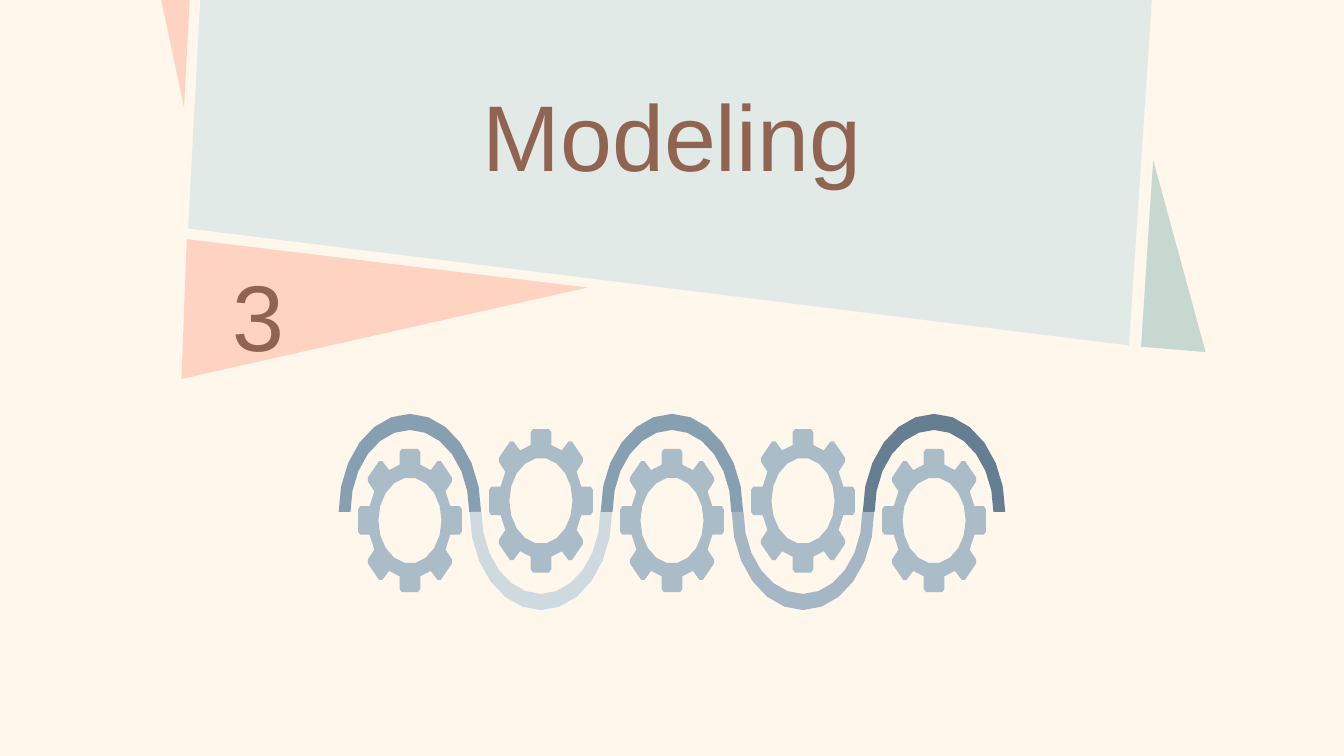
from dataclasses import dataclass
from math import cos, pi, sin

from pptx import Presentation
from pptx.dml.color import RGBColor
from pptx.enum.text import MSO_ANCHOR, PP_ALIGN
from pptx.util import Inches, Pt

CENTER = PP_ALIGN.CENTER
MIDDLE = MSO_ANCHOR.MIDDLE

CREAM = RGBColor(0xFF, 0xF6, 0xEC)
MIST = RGBColor(0xE1, 0xEA, 0xE7)
SAGE = RGBColor(0xC7, 0xD8, 0xD0)
PEACH = RGBColor(0xFE, 0xD3, 0xC2)
BROWN = RGBColor(0x91, 0x64, 0x52)
GEAR_BLUE = RGBColor(0xAB, 0xBC, 0xC9)
WAVE_BLUE = RGBColor(0x86, 0x9F, 0xB1)
WAVE_PALE = RGBColor(0xCF, 0xD9, 0xE0)
WAVE_SOFT = RGBColor(0xA5, 0xB7, 0xC5)
WAVE_DARK = RGBColor(0x66, 0x7E, 0x92)

# The slide is a grid of square cells, 100 columns wide
SLIDE_WIDTH, SLIDE_HEIGHT = Inches(10), Inches(5.625)
CELL = SLIDE_WIDTH / 100

Point = tuple[float, float]


@dataclass(frozen=True)
class Panel:
    corners: list[Point]
    color: RGBColor


@dataclass(frozen=True)
class Heading:
    text: str
    left: float
    top: float
    width: float
    height: float


PANELS = [
    Panel([(15.1, -3.6), (86, -4.4), (84, 25.7), (14, 17)], MIST),
    Panel([(13.7, 8), (11.3, -3.3), (14.3, -3.5)], PEACH),
    Panel([(85.8, 11.9), (89.7, 26.2), (84.9, 25.8)], SAGE),
    Panel([(13.5, 28.2), (13.9, 17.8), (43.7, 21.4)], PEACH),
]
HEADINGS = [
    Heading("Modeling", 15.1, 4.2, 69.8, 11.6),
    Heading("3", 13.2, 18.1, 12, 10.5),
]

# Wave of half rings: odd ones hang below the axis
WAVE_COLORS = [WAVE_BLUE, WAVE_PALE, WAVE_BLUE, WAVE_SOFT, WAVE_DARK]
WAVE_AXIS, WAVE_PITCH = 38.1, 9.75
WAVE_OUTER, WAVE_INNER = (5.3, 7.3), (4.42, 6.1)
GEAR_HOLE = (2.35, 3.2)
GEAR_ROW_UPPER, GEAR_ROW_LOWER = 37.27, 38.73

# Top right quarter of the gear rim, from its centre, clockwise
GEAR_QUARTER = [
    (0.6, -5.33), (0.77, -5.1), (0.77, -4.15), (1.55, -3.75), (2.05, -4.42),
    (2.3, -4.42), (3.13, -3.2), (3.13, -2.9), (2.65, -2.17), (3, -1.06),
    (3.7, -1.06), (3.86, -0.82),
]


def ellipse_arc(radii: Point, start: float, end: float, steps: int) -> list[Point]:
    angles = [start + (end - start) * i / steps for i in range(steps + 1)]
    return [(radii[0] * cos(a), radii[1] * sin(a)) for a in angles]


def gear_rim() -> list[Point]:
    right = GEAR_QUARTER + [(x, -y) for x, y in reversed(GEAR_QUARTER)]
    return right + [(-x, y) for x, y in reversed(right)]


def draw_outline(shapes, contours: list[list[Point]], color: RGBColor,
                 center: Point = (0, 0)) -> None:
    placed = [[(round((x + center[0]) * CELL), round((y + center[1]) * CELL))
               for x, y in contour] for contour in contours]
    builder = shapes.build_freeform(*placed[0][0])
    builder.add_line_segments(placed[0][1:])
    for contour in placed[1:]:
        builder.move_to(*contour[0])
        builder.add_line_segments(contour[1:])
    outline = builder.convert_to_shape()
    outline.shadow.inherit = False
    outline.fill.solid()
    outline.fill.fore_color.rgb = color
    outline.line.fill.background()


def draw_wave_part(shapes, index: int, color: RGBColor) -> None:
    center_x = 50 + (index - 2) * WAVE_PITCH
    is_arch = index % 2 == 0
    end = -pi if is_arch else pi
    ring = ellipse_arc(WAVE_OUTER, 0, end, 12) + ellipse_arc(WAVE_INNER, end, 0, 12)
    draw_outline(shapes, [ring], color, (center_x, WAVE_AXIS))
    gear_y = GEAR_ROW_LOWER if is_arch else GEAR_ROW_UPPER
    hole = ellipse_arc(GEAR_HOLE, 0, -2 * pi, 18)
    draw_outline(shapes, [hole, gear_rim()], GEAR_BLUE, (center_x, gear_y))


def draw_heading(shapes, heading: Heading) -> None:
    lengths = (heading.left, heading.top, heading.width, heading.height)
    box = shapes.add_textbox(*(round(length * CELL) for length in lengths))
    frame = box.text_frame
    frame.word_wrap = True
    frame.vertical_anchor = MIDDLE
    frame.margin_left = frame.margin_right = Inches(0.1)
    frame.margin_top = frame.margin_bottom = Inches(0.1)
    paragraph = frame.paragraphs[0]
    paragraph.alignment = CENTER
    run = paragraph.add_run()
    run.text = heading.text
    run.font.name = "Arial"
    run.font.size = Pt(50)
    run.font.color.rgb = BROWN


def main() -> None:
    deck = Presentation()
    deck.slide_width, deck.slide_height = SLIDE_WIDTH, SLIDE_HEIGHT
    slide = deck.slides.add_slide(deck.slide_layouts[6])
    slide.background.fill.solid()
    slide.background.fill.fore_color.rgb = CREAM

    # Slanted panels behind the headings
    banner = slide.shapes.add_group_shape()
    for panel in PANELS:
        draw_outline(banner.shapes, [panel.corners], panel.color)

    # Section title and number
    for heading in HEADINGS:
        draw_heading(slide.shapes, heading)

    # Gears along the wave
    gear_train = slide.shapes.add_group_shape()
    for index, color in enumerate(WAVE_COLORS):
        draw_wave_part(gear_train.shapes, index, color)

    deck.save("out.pptx")


if __name__ == "__main__":
    main()
